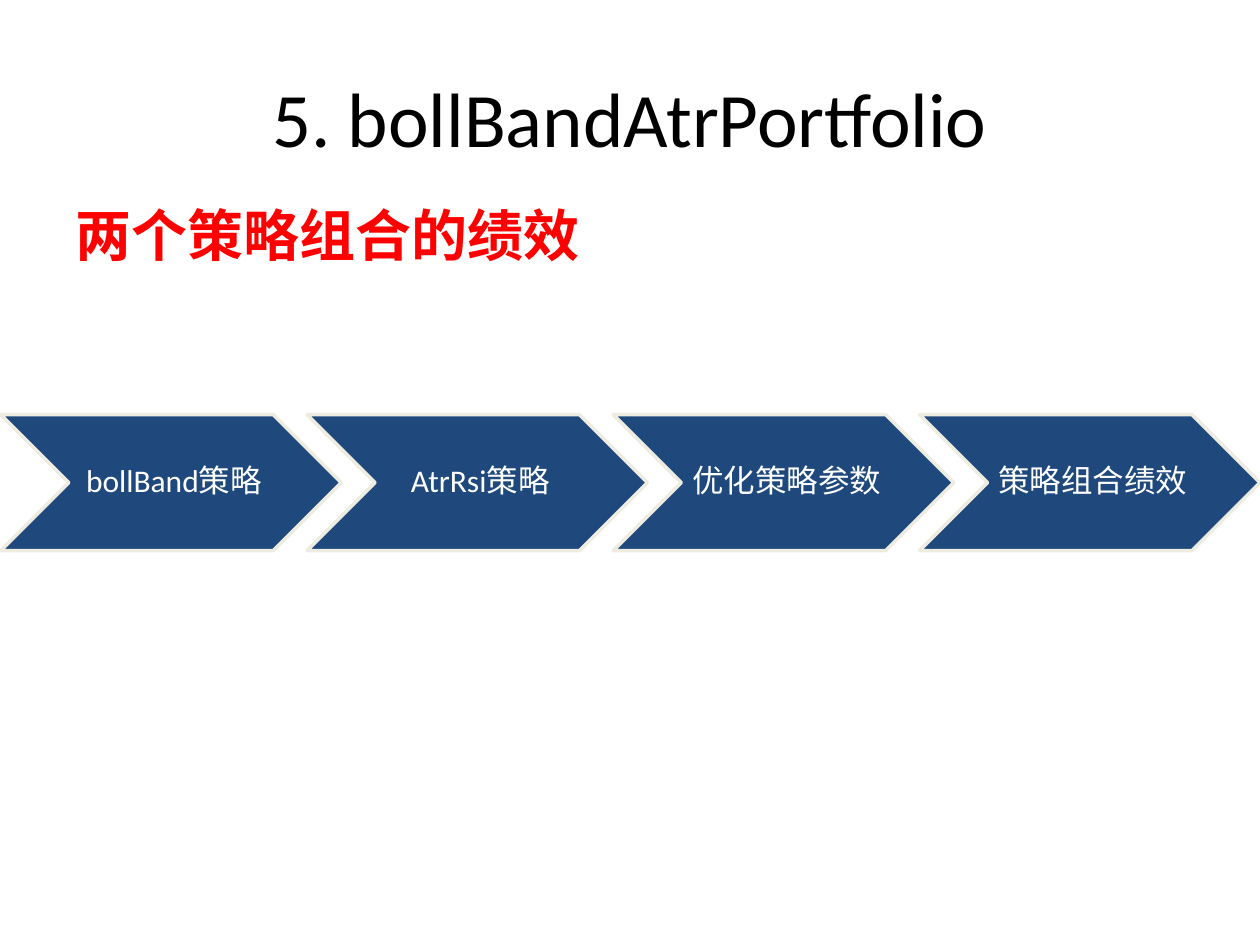
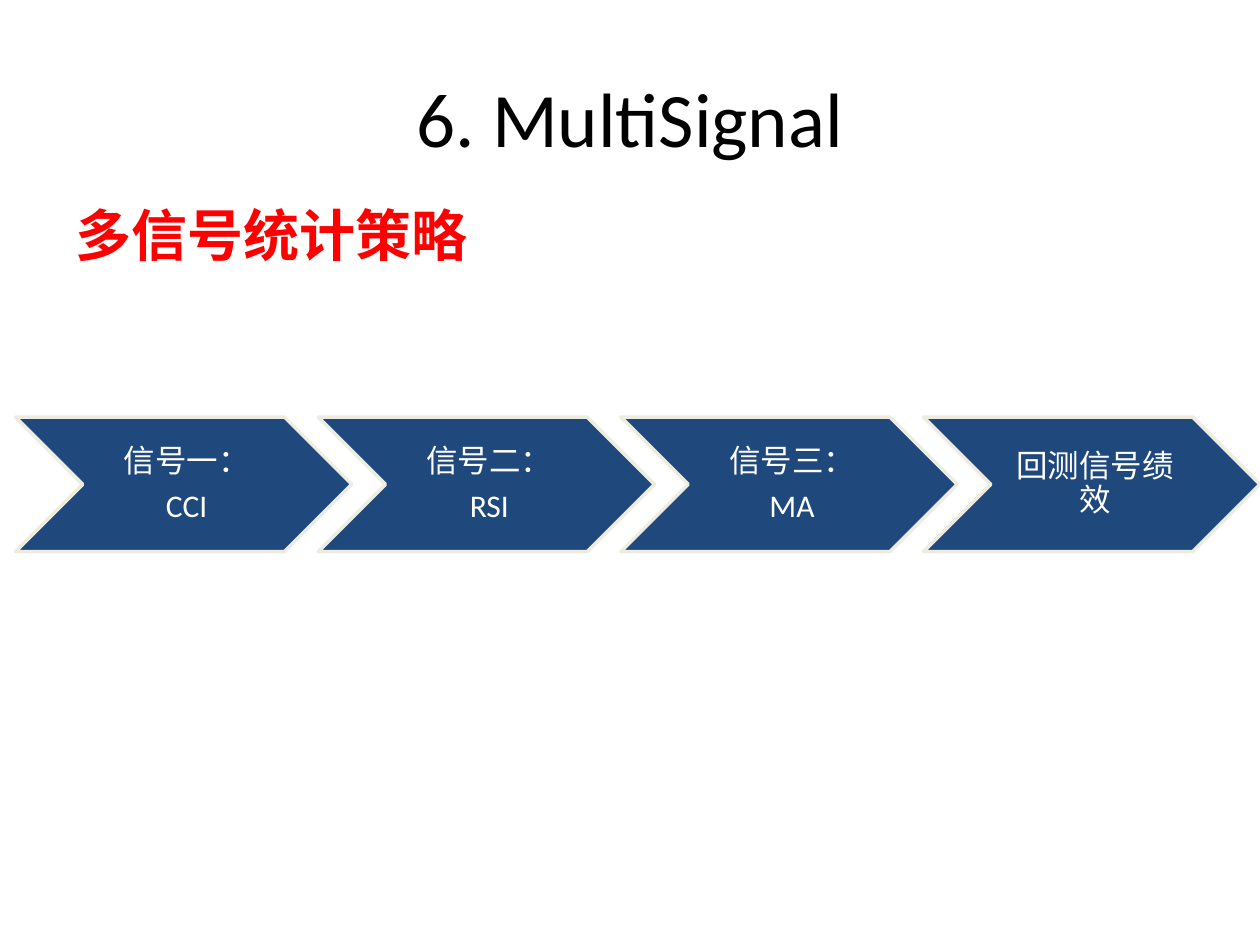
from pptx import Presentation
from pptx import util as u
from pptx.dml.color import RGBColor
from pptx.enum import shapes, text

BLACK = RGBColor(0x00, 0x00, 0x00)
RED = RGBColor(0xFF, 0x00, 0x00)
WHITE = RGBColor(0xFF, 0xFF, 0xFF)
NAVY = RGBColor(0x1F, 0x49, 0x7D)
CREAM = RGBColor(0xEE, 0xEC, 0xE1)
FONT = "Calibri"
RIGHT_EDGE = 25.4
STEP_PITCH = 0.9

STRATEGIES = [
    {
        "title": "5. bollBandAtrPortfolio",
        "goal": "两个策略组合的绩效",
        "steps": ["bollBand策略", "AtrRsi策略", "优化策略参数", "策略组合绩效"],
        "top": 8.36, "width": 6.86, "height": 2.74,
    },
    {
        "title": "6. MultiSignal",
        "goal": "多信号统计策略",
        "steps": ["信号一：\nCCI", "信号二：\nRSI", "信号三：\nMA", "回测信号绩效"],
        "top": 8.41, "width": 6.78, "height": 2.71,
    },
]


def write(frame, words, size, color, bold=False, align=text.PP_ALIGN.CENTER):
    frame.word_wrap = True
    frame.text = words
    for paragraph in frame.paragraphs:
        paragraph.alignment = align
        paragraph.font.name = FONT
        paragraph.font.size = u.Pt(size)
        paragraph.font.bold = bold
        paragraph.font.color.rgb = color


deck = Presentation()
deck.slide_width, deck.slide_height = u.Cm(25.4), u.Cm(19.05)

for strategy in STRATEGIES:
    slide = deck.slides.add_slide(deck.slide_layouts[6])

    title = slide.shapes.add_textbox(u.Cm(1.27), u.Cm(0.76), u.Cm(22.86), u.Cm(3.18))
    title.text_frame.vertical_anchor = text.MSO_ANCHOR.MIDDLE
    write(title.text_frame, strategy["title"], 44, BLACK)

    goal = slide.shapes.add_textbox(u.Cm(1.27), u.Cm(3.92), u.Cm(15.47), u.Cm(2.21))
    write(goal.text_frame, strategy["goal"], 32, RED, True, text.PP_ALIGN.LEFT)
    goal.text_frame.paragraphs[0].space_before = u.Pt(6.4)

    width, height = strategy["width"], strategy["height"]
    pitch = width * STEP_PITCH
    first_left = RIGHT_EDGE - width - pitch * (len(strategy["steps"]) - 1)
    for index, words in enumerate(strategy["steps"]):
        step = slide.shapes.add_shape(
            shapes.MSO_SHAPE.CHEVRON,
            u.Cm(first_left + index * pitch), u.Cm(strategy["top"]),
            u.Cm(width), u.Cm(height))
        step.shadow.inherit = False
        step.fill.solid()
        step.fill.fore_color.rgb = NAVY
        step.line.color.rgb = CREAM
        step.line.width = u.Pt(2)
        label = step.text_frame
        label.margin_left = u.Cm(0.2)
        label.margin_top = label.margin_right = label.margin_bottom = u.Cm(0.08)
        label.vertical_anchor = text.MSO_ANCHOR.MIDDLE
        write(label, words, 18, WHITE)
        for paragraph in label.paragraphs:
            paragraph.line_spacing = 0.9
            paragraph.space_after = u.Pt(6.3)

deck.save("out.pptx")
